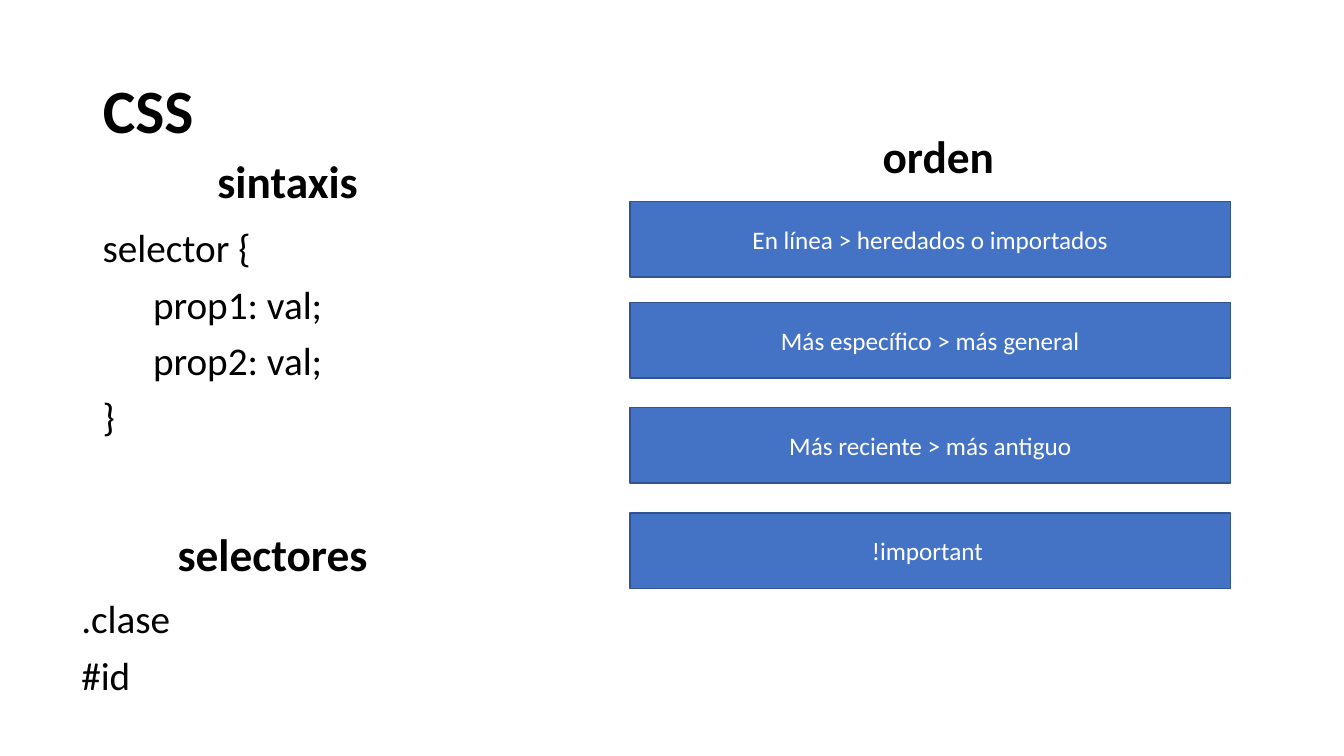
from pptx import Presentation
from pptx.dml.color import RGBColor
from pptx.enum import shapes, text
from pptx.util import Pt

BLACK = RGBColor(0x00, 0x00, 0x00)
WHITE = RGBColor(0xFF, 0xFF, 0xFF)
BLUE = RGBColor(0x44, 0x72, 0xC4)
DARK_BLUE = RGBColor(0x32, 0x54, 0x91)
FONT = "Calibri"
TITLE_ONLY = 5


def write_line(para, words, size, color=BLACK, bold=False,
               align=text.PP_ALIGN.LEFT):
    para.alignment = align
    span = para.add_run()
    span.text = words
    span.font.name = FONT
    span.font.size = Pt(size)
    span.font.bold = bold
    span.font.color.rgb = color


def set_title(page, words):
    title = page.shapes.title
    title.left, title.top = Pt(66.25), Pt(28.8)
    title.width, title.height = Pt(828), Pt(104.4)
    frame = title.text_frame
    frame.auto_size = text.MSO_AUTO_SIZE.NONE
    frame.vertical_anchor = text.MSO_ANCHOR.MIDDLE
    frame.paragraphs[0].line_spacing = 0.9
    write_line(frame.paragraphs[0], words, 44, bold=True)


def add_text(page, left, top, width, height, lines, size, spacing, **style):
    box = page.shapes.add_textbox(Pt(left), Pt(top), Pt(width), Pt(height))
    frame = box.text_frame
    frame.word_wrap = True
    for number, words in enumerate(lines):
        para = frame.add_paragraph() if number else frame.paragraphs[0]
        para.line_spacing = spacing
        para.space_before = Pt(10)
        write_line(para, words, size, **style)


def add_heading(page, left, top, width, words):
    add_text(page, left, top, width, 34.5, [words], 32.4, 0.7,
             bold=True, align=text.PP_ALIGN.CENTER)


def add_code(page, left, top, height, lines):
    add_text(page, left, top, 257, height, lines, 28, 0.9)


def add_rule(page, top, words):
    bar = page.shapes.add_shape(shapes.MSO_SHAPE.RECTANGLE,
                                Pt(450), Pt(top), Pt(429), Pt(54))
    bar.shadow.inherit = False
    bar.fill.solid()
    bar.fill.fore_color.rgb = BLUE
    bar.line.color.rgb = DARK_BLUE
    bar.line.width = Pt(1)
    frame = bar.text_frame
    frame.vertical_anchor = text.MSO_ANCHOR.MIDDLE
    write_line(frame.paragraphs[0], words, 18, WHITE,
               align=text.PP_ALIGN.CENTER)


def main():
    deck = Presentation()
    deck.slide_width, deck.slide_height = Pt(960), Pt(540)
    page = deck.slides.add_slide(deck.slide_layouts[TITLE_ONLY])
    set_title(page, "CSS")

    # Syntax and selectors
    add_heading(page, 77, 116.75, 257, "sintaxis")
    add_code(page, 66.25, 160, 171.5,
             ["selector {", "\tprop1: val;", "\tprop2: val;", "}"])
    add_heading(page, 66.25, 383, 257, "selectores")
    add_code(page, 51, 425, 80, [".clase", "#id"])

    # Order of precedence
    add_heading(page, 461.5, 98.5, 417.5, "orden")
    for top, words in (
        (144, "En línea > heredados o importados"),
        (216, "Más específico > más general"),
        (291, "Más reciente > más antiguo"),
        (366.5, "!important "),
    ):
        add_rule(page, top, words)

    deck.save("out.pptx")


if __name__ == "__main__":
    main()
